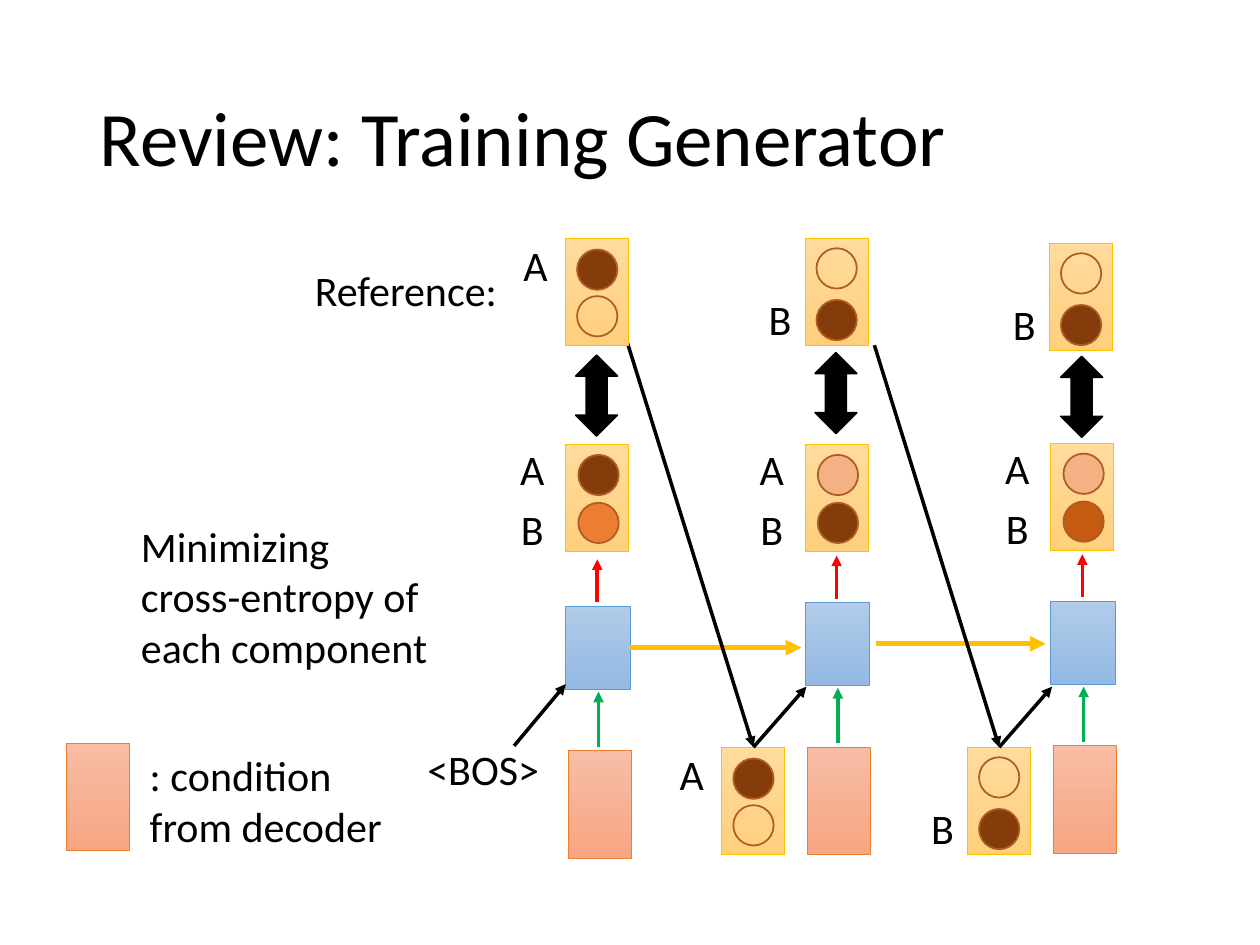
from lxml.etree import SubElement
from pptx import Presentation
from pptx.dml.color import RGBColor
from pptx.enum.shapes import MSO_CONNECTOR, MSO_SHAPE
from pptx.enum.text import MSO_ANCHOR, MSO_AUTO_SIZE, PP_ALIGN
from pptx.oxml.ns import qn
from pptx.util import Inches, Pt

COLORS = {
    "black": "000000", "red": "FF0000", "green": "00B050", "gold": "FFC000",
    "blue": "5B9BD5", "orange": "ED7D31", "outline": "AF5C24",
    "dark": "843C0B", "rust": "C55A11", "peach": "F4B183",
    "blue_top": "B1CBE9", "blue_bottom": "93B9E4",
    "orange_top": "F7BDA5", "orange_bottom": "F8A582",
    "gold_top": "FFDB9E", "gold_bottom": "FFD07C",
}
BOX_W, BOX_H = 0.5, 0.85
CELL_W, CELL_H = 0.51, 0.66
DOT = 0.32


def rgb(name):
    return RGBColor.from_string(COLORS[name])


def add_label(s, text, x, y, w, h=0.5, align=PP_ALIGN.CENTER):
    tb = s.shapes.add_textbox(Inches(x), Inches(y), Inches(w), Inches(h))
    tf = tb.text_frame
    tf.word_wrap = True
    tf.auto_size = MSO_AUTO_SIZE.SHAPE_TO_FIT_TEXT
    p = tf.paragraphs[0]
    p.text = text
    p.alignment = align
    p.font.size = Pt(24)
    p.font.name = "Calibri"
    p.font.color.rgb = rgb("black")


def add_shape(s, kind, x, y, w, h, line, width):
    sp = s.shapes.add_shape(kind, Inches(x), Inches(y), Inches(w), Inches(h))
    sp.shadow.inherit = False
    sp.line.color.rgb = rgb(line)
    sp.line.width = Pt(width)
    return sp


def add_box(s, x, y, color, w=BOX_W, h=BOX_H):
    sp = add_shape(s, MSO_SHAPE.RECTANGLE, x, y, w, h, color, 0.5)
    sp.fill.gradient()
    sp.fill.gradient_angle = 270
    for stop, end in zip(sp.fill.gradient_stops, ("top", "bottom")):
        stop.color.rgb = rgb(f"{color}_{end}")
    return sp


def add_dot(s, x, y, color):
    sp = add_shape(s, MSO_SHAPE.OVAL, x, y, DOT, DOT, "outline", 1)
    if color:
        sp.fill.solid()
        sp.fill.fore_color.rgb = rgb(color)
    else:
        sp.fill.background()


def add_arrow(s, x1, y1, x2, y2, color="black", width=2):
    c = s.shapes.add_connector(MSO_CONNECTOR.STRAIGHT, Inches(x1), Inches(y1),
                               Inches(x2), Inches(y2))
    c.line.color.rgb = rgb(color)
    c.line.width = Pt(width)
    SubElement(c.line._get_or_add_ln(), qn("a:tailEnd"), type="triangle")
    SubElement(c._element.spPr, qn("a:effectLst"))
    return c


def add_title(s, text, x, y, w, h):
    sp = s.shapes.title
    sp.left, sp.top, sp.width, sp.height = map(Inches, (x, y, w, h))
    tf = sp.text_frame
    tf.vertical_anchor = MSO_ANCHOR.MIDDLE
    p = tf.paragraphs[0]
    p.text = text
    p.alignment = PP_ALIGN.LEFT
    p.line_spacing = 0.9
    p.font.size = Pt(44)
    p.font.name = "Calibri"
    p.font.color.rgb = rgb("black")


def add_token(s, letter, x, y):
    box = add_box(s, x, y, "gold")
    if letter == "A":
        dots, dx, dy = ((0.09, "dark"), (0.46, None)), -0.46, -0.04
    else:
        dots, dx, dy = ((0.08, None), (0.49, "dark")), -0.42, 0.39
    for offset, color in dots:
        add_dot(s, x + 0.09, y + offset, color)
    add_label(s, letter, x + dx, y + dy, 0.44)
    return box


def add_prediction(s, x, y, dot_colors):
    add_box(s, x, y, "gold")
    for i, (letter, color) in enumerate(zip("AB", dot_colors)):
        add_label(s, letter, x - 0.53, y - 0.06 + 0.48 * i, 0.53)
        add_dot(s, x + 0.1, y + 0.08 + 0.38 * i, color)


def add_step(s, x, cell_y, prediction_y, compare_y, dot_colors):
    cell = add_box(s, x, cell_y, "blue", CELL_W, CELL_H)
    add_box(s, x + 0.02, cell_y + 1.15, "orange")
    add_arrow(s, x + 0.26, cell_y + 1.12, x + 0.26, cell_y + 0.68, "green")
    add_arrow(s, x + 0.25, cell_y - 0.03, x + 0.25, cell_y - 0.37, "red")
    add_prediction(s, x, prediction_y, dot_colors)
    sp = add_shape(s, MSO_SHAPE.UP_DOWN_ARROW, x + 0.08, compare_y, 0.33, 0.64, "black", 1)
    sp.fill.solid()
    sp.fill.fore_color.rgb = rgb("black")
    return cell


def add_input(s, letter, x, y, feedback_start):
    token = add_token(s, letter, x, y)
    top = x + BOX_W / 2
    add_arrow(s, top, y, top + 0.42, y - 0.48).begin_connect(token, 0)
    add_arrow(s, *feedback_start, top, y).end_connect(token, 0)


def add_legend(s, x, y):
    add_box(s, x, y, "orange")
    add_label(s, ": condition from decoder", x + 0.56, y, 2.06, 0.91, PP_ALIGN.LEFT)


def main():
    prs = Presentation()
    prs.slide_width, prs.slide_height = Inches(10), Inches(7.5)
    s = prs.slides.add_slide(prs.slide_layouts[5])
    add_title(s, "Review: Training Generator", 0.69, 0.4, 8.62, 1.45)
    add_label(s, "Reference:", 2.4, 2.05, 1.75, align=PP_ALIGN.LEFT)
    add_label(s, "Minimizing cross-entropy of each component",
              1.02, 4.08, 2.53, 1.31, PP_ALIGN.LEFT)
    add_legend(s, 0.53, 5.9)

    steps = (
        (4.49, 4.81, 3.53, 2.82, ("dark", "orange")),
        (6.39, 4.78, 3.53, 2.8, ("peach", "dark")),
        (8.34, 4.77, 3.52, 2.83, ("peach", "rust")),
    )
    cells = [add_step(s, *step) for step in steps]
    add_arrow(s, 5, 5.14, 6.36, 5.14, "gold", 3).begin_connect(cells[0], 3)
    add_arrow(s, 6.95, 5.11, 8.3, 5.11, "gold", 3)

    add_label(s, "<BOS>", 3.23, 5.85, 1.21)
    add_arrow(s, 4.08, 5.92, 4.49, 5.43)
    add_input(s, "A", 5.73, 5.93, (4.97, 2.69))
    add_input(s, "B", 7.68, 5.93, (6.94, 2.74))
    for letter, x, y in (("A", 4.49, 1.89), ("B", 6.39, 1.89), ("B", 8.33, 1.93)):
        add_token(s, letter, x, y)
    prs.save("out.pptx")


if __name__ == "__main__":
    main()
